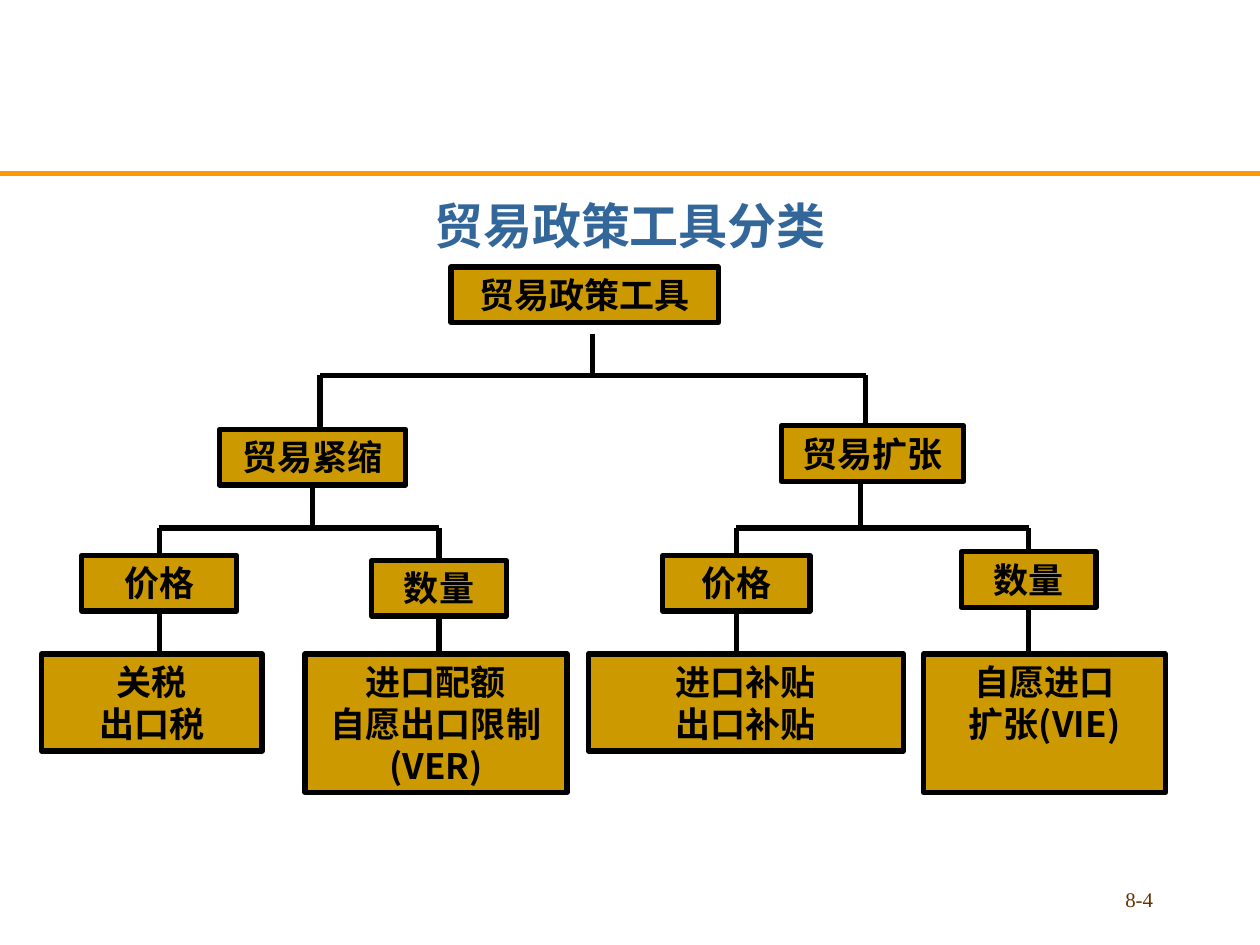
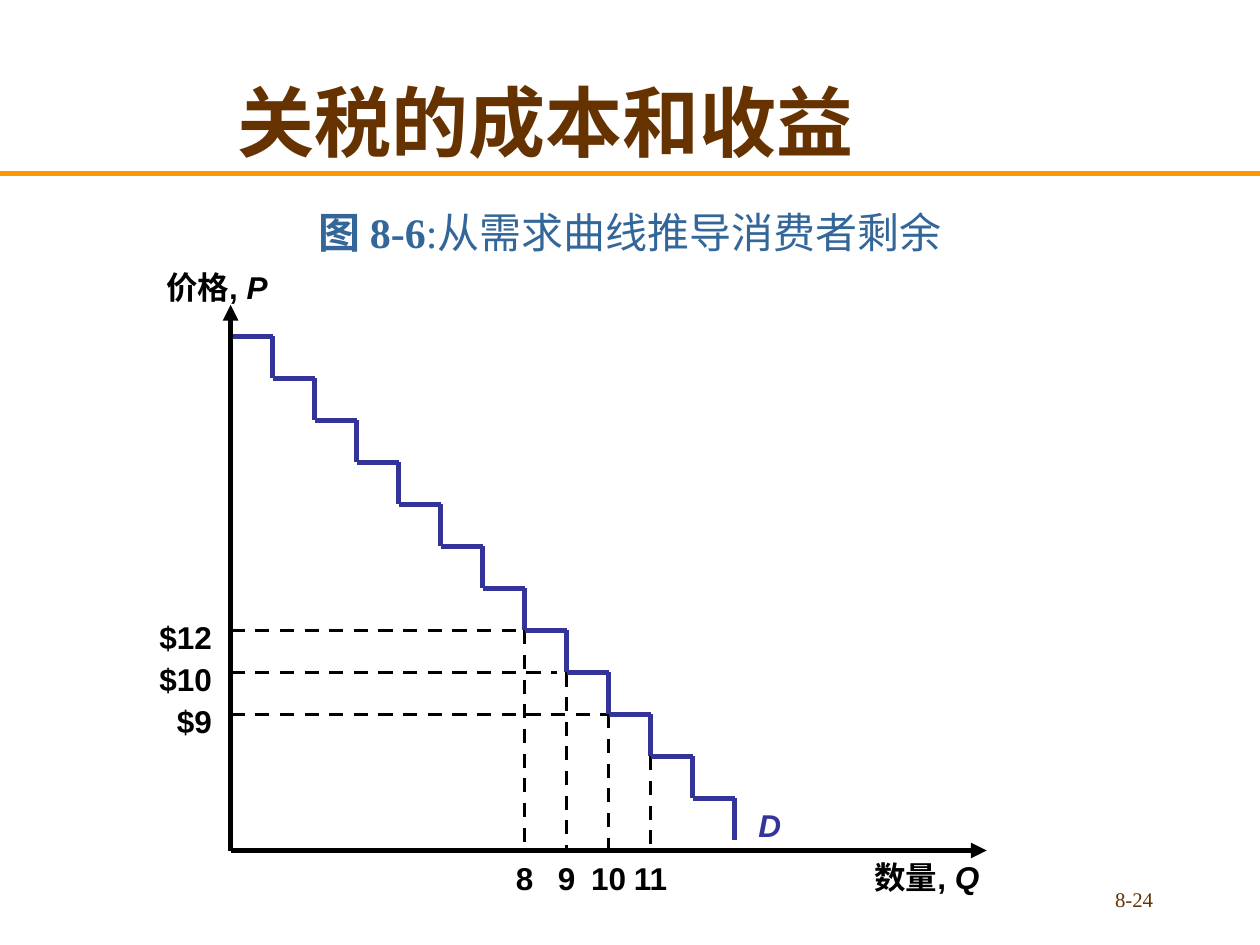
import lxml.etree
import pptx
import pptx.dml.color
import pptx.enum.dml
import pptx.enum.shapes
import pptx.enum.text
import pptx.oxml.ns
import pptx.util

Inches = pptx.util.Inches
Align = pptx.enum.text.PP_ALIGN
Anchor = pptx.enum.text.MSO_ANCHOR

# Shared style
BROWN, BLUE, ORANGE = "663300", "336699", "FF9900"
GOLD, BLACK, INDIGO = "CC9900", "000000", "333399"
CJK, SERIF, SANS = "Noto Sans CJK SC", "Times New Roman", "Arial"

# Classification tree: text lines, then left, top, width, height
ROOT = (["贸易政策工具"], (3.58, 2.12, 2.12, 0.44))
BRANCHES = [
    {"box": (["贸易紧缩"], (1.74, 3.41, 1.48, 0.44)), "drop": 2.54, "stem": None,
     "measures": [
         ((["价格"], (0.65, 4.41, 1.23, 0.44)),
          (["关税", "出口税"], (0.33, 5.19, 1.75, 0.77))),
         ((["数量"], (2.95, 4.45, 1.07, 0.44)),
          (["进口配额", "自愿出口限制 (VER)"], (2.42, 5.19, 2.08, 1.1)))]},
    {"box": (["贸易扩张"], (6.2, 3.38, 1.45, 0.44)), "drop": 6.87, "stem": 6.83,
     "measures": [
         ((["价格"], (5.26, 4.41, 1.17, 0.44)),
          (["进口补贴", "出口补贴"], (4.67, 5.19, 2.5, 0.77))),
         ((["数量"], (7.63, 4.38, 1.07, 0.44)),
          (["自愿进口", "扩张(VIE)"], (7.33, 5.19, 1.92, 1.1)))]},
]
ROOT_STEM_X, ROOT_STEM_TOP, BRANCH_BUS, MEASURE_BUS = 4.7, 2.65, 2.98, 4.19

# Demand curve: stair steps and the labelled points on it
ORIGIN, AXIS_TOP, AXIS_RIGHT = (1.83, 6.75), 2.42, 7.83
CURVE_TOP, STEP, STEP_COUNT = 2.67, 1 / 3, 12
QUANTITIES = {7: "8", 8: "9", 9: "10", 10: "11"}
PRICES = {7: ("$12", 4.17), 8: ("$10", 4.42), 9: ("$9", 4.83)}
CURVE_LABELS = [
    ([("价格, ", {}), ("P", {"italic": True})], (1.22, 2.08, 1.06, 0.4), BLACK),
    ([("数量, ", {}), ("Q", {"italic": True})], (6.84, 6.76, 1.09, 0.4), BLACK),
    ([("D", {"italic": True})], (5.92, 6.35, 0.38, 0.4), INDIGO),
]


def rgb(value):
    return pptx.dml.color.RGBColor.from_string(value)


def sub(parent, tag, **attributes):
    return lxml.etree.SubElement(parent, pptx.oxml.ns.qn(tag), **attributes)


def write(frame, paragraphs, *, size, color, font=CJK, bold=False, align=Align.CENTER,
          anchor=Anchor.TOP, wrap=True, leading=None):
    """Fill a frame; a paragraph is a string or a list of (text, format) runs."""
    frame.word_wrap = wrap
    frame.auto_size = pptx.enum.text.MSO_AUTO_SIZE.NONE
    frame.vertical_anchor = anchor
    frame.margin_left = frame.margin_right = Inches(0.1)
    frame.margin_top = frame.margin_bottom = Inches(0.05)
    for index, runs in enumerate(paragraphs):
        paragraph = frame.add_paragraph() if index else frame.paragraphs[0]
        paragraph.alignment = align
        paragraph.space_before = pptx.util.Pt(0)
        if leading:
            paragraph.line_spacing = pptx.util.Pt(leading)
        for text, style in [(runs, {})] if isinstance(runs, str) else runs:
            run = paragraph.add_run()
            run.text = text
            run.font.size = pptx.util.Pt(size)
            run.font.bold = style.get("bold", bold)
            run.font.italic = style.get("italic", False)
            run.font.color.rgb = rgb(color)
            run.font.name = font
            sub(run.font._element, "a:ea", typeface=CJK)


def place(shape, area):
    shape.left, shape.top, shape.width, shape.height = map(Inches, area)


def label(slide, paragraphs, area, **style):
    write(slide.shapes.add_textbox(*map(Inches, area)).text_frame, paragraphs, **style)


def line(slide, start, end, color=BLACK, width=3, dashed=False, arrow=False,
         begin_at=None, end_at=None):
    link = slide.shapes.add_connector(pptx.enum.shapes.MSO_CONNECTOR.STRAIGHT,
                                      *map(Inches, (*start, *end)))
    link.line.color.rgb = rgb(color)
    link.line.width = pptx.util.Pt(width)
    if dashed:
        link.line.dash_style = pptx.enum.dml.MSO_LINE.DASH
    if arrow:
        sub(link.line._get_or_add_ln(), "a:tailEnd", type="triangle")
    sub(link._element.spPr, "a:effectLst")
    if begin_at:
        link.begin_connect(*begin_at)
    if end_at:
        link.end_connect(*end_at)


def tree_box(slide, node):
    lines, area = node
    box = slide.shapes.add_shape(pptx.enum.shapes.MSO_SHAPE.RECTANGLE, *map(Inches, area))
    box.shadow.inherit = False
    box.fill.solid()
    box.fill.fore_color.rgb = rgb(GOLD)
    box.line.color.rgb = rgb(BLACK)
    box.line.width = pptx.util.Pt(3)
    write(box.text_frame, lines, size=20, color=BLACK, bold=True, leading=24)
    return box


def middle(node):
    left, _, width, _ = node[1]
    return left + width / 2


def bottom(node):
    return node[1][1] + node[1][3]


def new_slide(deck, layout, page):
    slide = deck.slides.add_slide(deck.slide_layouts[layout])
    line(slide, (0, 1.38), (10, 1.38), ORANGE)
    label(slide, [page], (7.17, 6.99, 2.08, 0.34), size=11.9, color=BROWN,
          font=SERIF, align=Align.RIGHT)
    return slide


def classification_slide(deck):
    slide = new_slide(deck, 1, "8-4")
    title = slide.shapes.title
    title._element.getparent().remove(title._element)
    heading = slide.placeholders[1]
    place(heading, (0, 1.5, 10, 0.58))
    write(heading.text_frame, ["贸易政策工具分类"], size=28, color=BLUE, bold=True)
    properties = heading.text_frame.paragraphs[0]._p.get_or_add_pPr()
    properties.set("marL", "0")
    properties.set("indent", "0")
    sub(properties, "a:buNone")

    # Root and the bus to its branches
    tree_box(slide, ROOT)
    line(slide, (ROOT_STEM_X, ROOT_STEM_TOP), (ROOT_STEM_X, BRANCH_BUS))
    line(slide, *[(branch["drop"], BRANCH_BUS) for branch in BRANCHES])

    for branch in BRANCHES:
        node, drop = branch["box"], branch["drop"]
        box = tree_box(slide, node)
        line(slide, (drop, BRANCH_BUS), (drop, node[1][1]))
        stem = branch["stem"] or middle(node)
        line(slide, (stem, bottom(node)), (stem, MEASURE_BUS),
             begin_at=None if branch["stem"] else (box, 2))
        line(slide, *[(middle(measure), MEASURE_BUS) for measure, _ in branch["measures"]])

        # Measures and their instruments
        for measure, instruments in branch["measures"]:
            x = middle(measure)
            measure_box = tree_box(slide, measure)
            tree_box(slide, instruments)
            line(slide, (x, MEASURE_BUS), (x, measure[1][1]), end_at=(measure_box, 0))
            line(slide, (x, bottom(measure)), (x, instruments[1][1]),
                 begin_at=(measure_box, 2))


def demand_slide(deck):
    slide = new_slide(deck, 5, "8-24")
    place(slide.shapes.title, (0.08, 0.33, 8.5, 1.25))
    write(slide.shapes.title.text_frame, ["关税的成本和收益"], size=44, color=BROWN,
          font=SERIF, bold=True, anchor=Anchor.MIDDLE)
    label(slide, [[("图 8-6", {"bold": True}), (":从需求曲线推导消费者剩余", {})]],
          (0, 1.42, 10, 0.67), size=24, color=BLUE, font=SERIF, anchor=Anchor.BOTTOM)

    left, base = ORIGIN
    steps = [(left + k * STEP, CURVE_TOP + k * STEP) for k in range(STEP_COUNT)]
    tick = {"size": 18, "color": BLACK, "font": SANS, "bold": True, "wrap": False}

    # Guides and tick labels
    for k, quantity in QUANTITIES.items():
        x, y = steps[k]
        line(slide, (x, y), (x, base), width=2, dashed=True)
        label(slide, [quantity], (x - 0.24, 6.77, 0.48, 0.4), **tick)
    for k, (price, guide_end) in PRICES.items():
        y = steps[k][1]
        line(slide, (left, y), (guide_end, y), width=2, dashed=True)
        label(slide, [price], (1.17, y - 0.15, 0.61, 0.4), align=Align.RIGHT, **tick)

    # Stair-step demand curve
    for x, y in steps:
        line(slide, (x, y), (x + STEP, y), INDIGO)
        line(slide, (x + STEP, y), (x + STEP, y + STEP), INDIGO)

    # Axes and names
    line(slide, ORIGIN, (left, AXIS_TOP), arrow=True)
    line(slide, ORIGIN, (AXIS_RIGHT, base), arrow=True)
    for runs, area, color in CURVE_LABELS:
        label(slide, [runs], area, **{**tick, "color": color, "align": Align.LEFT})


def main():
    deck = pptx.Presentation()
    deck.slide_width, deck.slide_height = Inches(10), Inches(7.5)
    classification_slide(deck)
    demand_slide(deck)
    deck.save("out.pptx")


if __name__ == "__main__":
    main()
